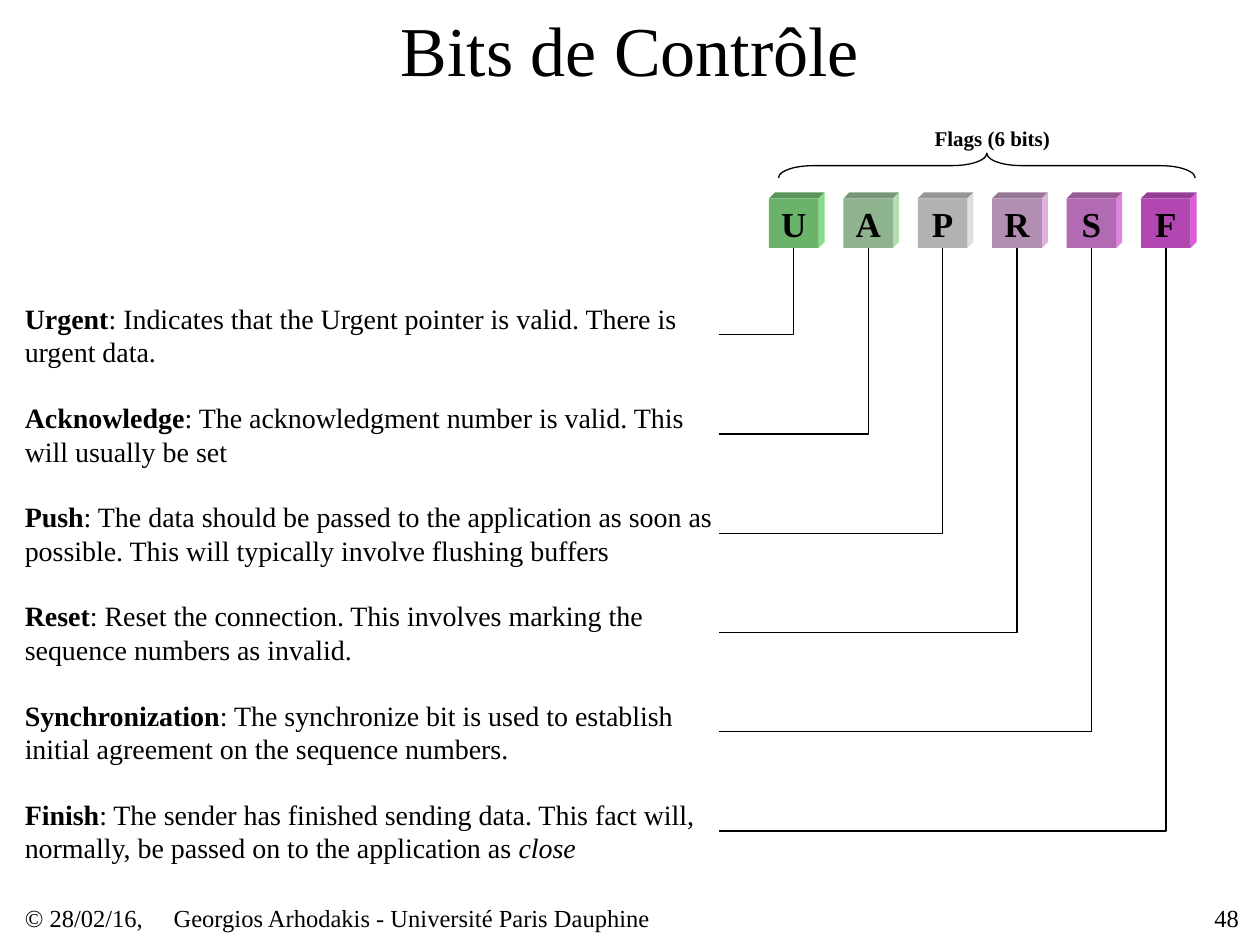
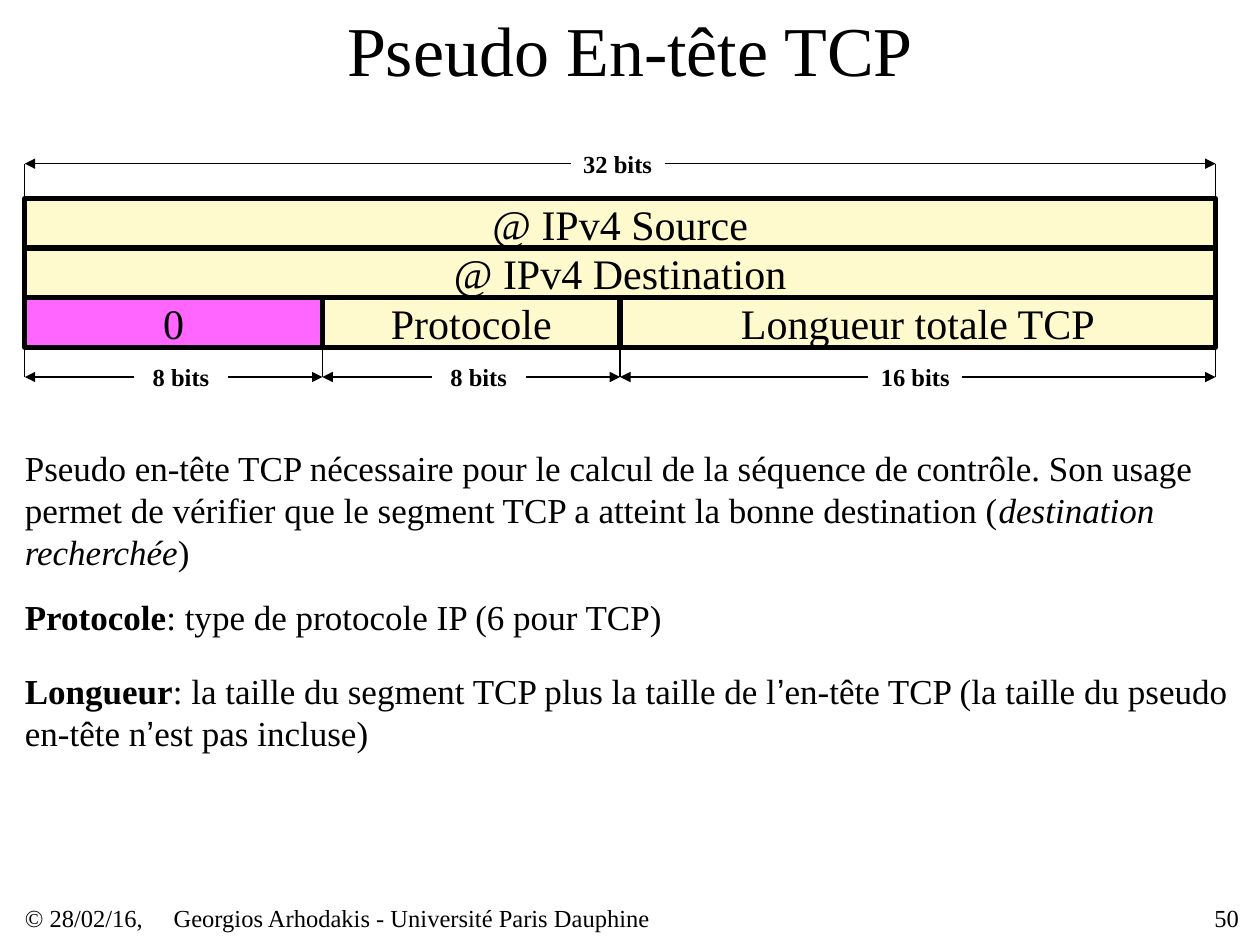
from pptx import Presentation
from pptx.dml.color import RGBColor
from pptx.enum.dml import MSO_LINE
from pptx.enum.shapes import MSO_CONNECTOR as LINK, MSO_SHAPE as SHAPE
from pptx.enum.text import MSO_ANCHOR as ANCHOR, MSO_AUTO_SIZE as FIT, PP_ALIGN as ALIGN
from pptx.oxml.ns import qn
from pptx.util import Pt
from lxml.etree import SubElement

COLOURS = {"ink": "000000", "field": "FFFACD", "zero": "FF66FF"}
SERIF, SANS = "Times New Roman", "Arial"
CM = 28.35  # points in one grid unit
MARGIN = 0.5

# Text is a string or a list of (text, style): b bold, i italic, s sans serif
FOOTER = ("© 28/02/16,", "Georgios Arhodakis - Université Paris Dauphine")

FLAGS_TITLE, FLAGS_PAGE = "Bits de Contrôle", "48"
FLAGS_LABEL = "Flags (6 bits)"
FLAGS = [
    ("U", "99FF99", [("Urgent", "b"), (": Indicates that the Urgent pointer is valid. "
                                       "There is urgent data.", "")]),
    ("A", "CCFFCC", [("Acknowledge", "b"), (": The acknowledgment number is valid. "
                                            "This will usually be set", "")]),
    ("P", "FFFFFF", [("Push", "b"), (": The data should be passed to the application as soon as "
                                     "possible. This will typically involve flushing buffers", "")]),
    ("R", "FFCCFF", [("Reset", "b"), (": Reset the connection. This involves marking the "
                                      "sequence numbers as invalid.", "")]),
    ("S", "FF99FF", [("Synchronization", "b"), (": The synchronize bit is used to establish "
                                                "initial agreement on the sequence numbers.", "")]),
    ("F", "FF66FF", [("Finish", "b"), (": The sender has finished sending data. This fact will, "
                                       "normally, be passed on to the application as ", ""),
                     ("close", "i")]),
]

HEADER_TITLE, HEADER_PAGE = "Pseudo En-tête TCP", "50"
HEADER_ROWS = [  # (text, bits, colour)
    [("@ IPv4 Source", 32, "field")],
    [("@ IPv4 Destination", 32, "field")],
    [("0", 8, "zero"), ("Protocole", 8, "field"), ("Longueur totale TCP", 16, "field")],
]
# (text, first bit, bits, left of the label, height of the line), in grid units
DIMENSIONS = [
    ("32 bits", 0, 32, 11.5, 3.3),
    ("8 bits", 0, 8, 2.7, 7.6),
    ("8 bits", 8, 8, 8.7, 7.6),
    ("16 bits", 16, 16, 17.5, 7.6),
]
HEADER_NOTES = [  # (top, height, text)
    (9, 2.54, [("Pseudo en-tête TCP nécessaire pour le calcul de la séquence de contrôle. Son usage "
                "permet de vérifier que le segment TCP a atteint la bonne destination (", ""),
               ("destination recherchée", "i"), (")", "")]),
    (12, 0.85, [("Protocole", "b"), (": type de protocole IP (6 pour TCP)", "")]),
    (13.5, 1.7, [("Longueur", "b"), (": la taille du segment TCP plus la taille de l", ""),
                 ("’", "s"), ("en-tête TCP (la taille du pseudo en-tête n", ""),
                 ("’", "s"), ("est pas incluse)", "")]),
]


def cm(*values):
    """Turn grid units into lengths in points."""
    return [Pt(round(value * CM, 2)) for value in values]


def rgb(colour, shade=1.0):
    code = COLOURS.get(colour, colour)
    return RGBColor(*(round(int(code[i:i + 2], 16) * shade) for i in (0, 2, 4)))


def write(shape, text, size=14, bold=False, align=ALIGN.LEFT, wrap=True):
    frame = shape.text_frame
    frame.word_wrap, frame.auto_size = wrap, FIT.NONE
    frame.vertical_anchor = ANCHOR.MIDDLE
    frame.margin_left = frame.margin_right = frame.margin_top = frame.margin_bottom = 0
    paragraph = frame.paragraphs[0]
    paragraph.alignment = align
    for words, style in [(text, "")] if isinstance(text, str) else text:
        run = paragraph.add_run()
        run.text = words
        font = run.font
        font.name = SANS if style == "s" else SERIF
        font.size, font.bold, font.italic = Pt(size), bold or style == "b", style == "i"
        font.color.rgb = rgb("ink")


def label(slide, box, text, **form):
    shape = slide.shapes.add_textbox(*cm(*box))
    write(shape, text, **form)
    return shape


def paint(shape, colour, shade=1.0, line=None):
    shape.shadow.inherit = False
    shape.fill.solid()
    shape.fill.fore_color.rgb = rgb(colour, shade)
    if line:
        outline(shape, line)
    else:
        shape.line.fill.background()


def outline(shape, width):
    shape.line.color.rgb = rgb("ink")
    shape.line.width = Pt(width)


def connect(slide, kind, ends, arrow=False):
    link = slide.shapes.add_connector(kind, *cm(*ends))
    outline(link, 0.75)
    link.line.dash_style = MSO_LINE.SOLID
    if arrow:
        SubElement(link.line._get_or_add_ln(), qn("a:tailEnd"), type="triangle")
    SubElement(link._element.spPr, qn("a:effectLst"))
    return link


def new_slide(deck, title, page):
    slide = deck.slides.add_slide(deck.slide_layouts[5])
    heading = slide.shapes.title
    heading.left, heading.top, heading.width, heading.height = Pt(54), 0, Pt(612), Pt(55.5)
    write(heading, title, size=40, align=ALIGN.CENTER)
    date, author = FOOTER
    label(slide, (MARGIN, 18.2, 3, 0.6), date)
    label(slide, (3.5, 18.2, 15, 0.6), author)
    label(slide, (19.7, 18.2, 5.27, 0.6), page, align=ALIGN.RIGHT)
    return slide


def draw_block(slide, left, top, letter, colour):
    """Draw a one-unit square with its depth up and to the right; return its face."""
    depth, right, bottom = 0.12, left + 1, top + 1
    sides = [
        (0.59, [(left, top), (left + depth, top - depth), (right + depth, top - depth), (right, top)]),
        (0.87, [(right, top), (right + depth, top - depth),
                (right + depth, bottom - depth), (right, bottom)]),
    ]
    for shade, corners in sides:
        first, *others = [cm(*corner) for corner in corners]
        outline_builder = slide.shapes.build_freeform(*first)
        outline_builder.add_line_segments(others, close=True)
        paint(outline_builder.convert_to_shape(), colour, shade)
    face = slide.shapes.add_shape(SHAPE.RECTANGLE, *cm(left, top, 1, 1))
    paint(face, colour, 0.7)
    write(face, letter, size=20, bold=True, align=ALIGN.CENTER, wrap=False)
    return face


def draw_elbow(slide, face, meaning, start, end):
    """Join a block to its meaning, straight down and then left."""
    drop, reach = end[1] - start[1], start[0] - end[0]
    elbow = connect(slide, LINK.ELBOW, (*start, *end))
    elbow.begin_connect(face, 2)
    elbow.end_connect(meaning, 3)
    properties = elbow._element.spPr
    properties.find(qn("a:prstGeom")).set("prst", "bentConnector2")
    frame = properties.find(qn("a:xfrm"))
    frame.attrib.clear()
    frame.set("rot", "5400000")
    middle_x, middle_y = (start[0] + end[0]) / 2, (start[1] + end[1]) / 2
    elbow.left, elbow.top, elbow.width, elbow.height = cm(
        middle_x - drop / 2, middle_y - reach / 2, drop, reach)


def flags_slide(deck):
    slide = new_slide(deck, FLAGS_TITLE, FLAGS_PAGE)
    label(slide, (18.84, 2.54, 2.5, 0.5), FLAGS_LABEL, size=12, bold=True, wrap=False)
    brace = slide.shapes.add_shape(SHAPE.LEFT_BRACE, *cm(19.64, -0.86, 0.5, 8.4))
    brace.rotation = 90
    brace.adjustments[0] = 1.4
    brace.shadow.inherit = False
    brace.fill.background()
    outline(brace, 0.75)
    block_top, width, height = 4, 14, 1.5
    for i, (letter, colour, text) in enumerate(FLAGS):
        left, top = 15.5 + 1.5 * i, 6 + 2 * i
        face = draw_block(slide, left, block_top, letter, colour)
        meaning = label(slide, (MARGIN, top, width, height), text, size=16)
        draw_elbow(slide, face, meaning, (left + 0.5, block_top + 1),
                   (MARGIN + width, top + height / 2))


def header_slide(deck):
    slide = new_slide(deck, HEADER_TITLE, HEADER_PAGE)
    bit = 24 / 32
    for i, row in enumerate(HEADER_ROWS):
        left = MARGIN
        for text, bits, colour in row:
            field = slide.shapes.add_shape(SHAPE.RECTANGLE, *cm(left, 4 + i, bits * bit, 1))
            paint(field, colour, line=3)
            write(field, text, size=24, align=ALIGN.CENTER)
            left += bits * bit

    ticks = [(0, 3.3, 7.3), (32, 3.3, 7.3)] + [(edge, 6.1, 7.6) for edge in (0, 8, 16, 32)]
    for edge, top, bottom in ticks:
        x = MARGIN + edge * bit
        connect(slide, LINK.STRAIGHT, (x, top, x, bottom))

    label_width, label_height = 1.9, 0.58
    for text, first, bits, left, y in DIMENSIONS:
        label(slide, (left, y - label_height / 2, label_width, label_height), text,
              bold=True, align=ALIGN.CENTER)
        start = MARGIN + first * bit
        for inner, outer in ((left, start), (left + label_width, start + bits * bit)):
            connect(slide, LINK.STRAIGHT, (inner, y, outer, y), arrow=True)

    for top, height, text in HEADER_NOTES:
        label(slide, (MARGIN, top, 24.3, height), text, size=20)


def main():
    deck = Presentation()
    deck.slide_width, deck.slide_height = Pt(720), Pt(540)
    flags_slide(deck)
    header_slide(deck)
    deck.save("out.pptx")


if __name__ == "__main__":
    main()
